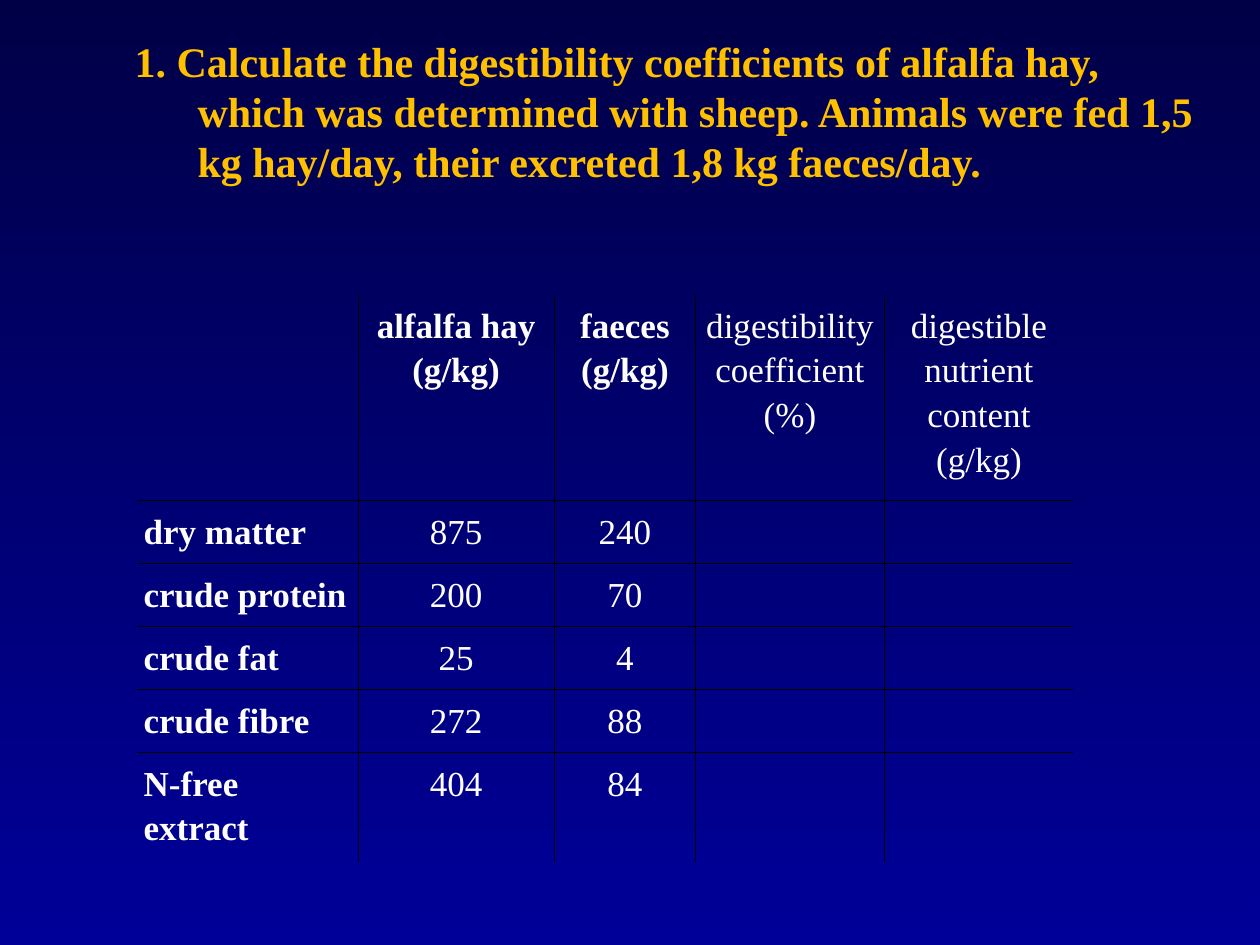
import lxml.etree
import pptx
import pptx.dml.color
import pptx.enum.text
import pptx.oxml.ns
import pptx.util

Inches = pptx.util.Inches
Pt = pptx.util.Pt
RGB = pptx.dml.color.RGBColor.from_string
CENTER = pptx.enum.text.PP_ALIGN.CENTER
qn = pptx.oxml.ns.qn

THEME = {
    "font": "Times New Roman",
    "top": "000047",
    "bottom": "000099",
    "question": "FFC000",
    "text": "FFFFFF",
    "grid": "000000",
    "question_size": 24,
    "table_size": 20,
    "grid_width": 0.45,
}


def style(p, size, color, bold):
    for r in p.runs:
        r.font.name = THEME["font"]
        r.font.size = Pt(THEME[size])
        r.font.color.rgb = RGB(THEME[color])
        r.font.bold = bold


def add_border(tc_pr, tag, visible):
    ln = lxml.etree.SubElement(tc_pr, qn(tag), w=str(int(Pt(THEME["grid_width"]))))
    if visible:
        fill = lxml.etree.SubElement(ln, qn("a:solidFill"))
        lxml.etree.SubElement(fill, qn("a:srgbClr"), val=THEME["grid"])
    else:
        lxml.etree.SubElement(ln, qn("a:noFill"))


prs = pptx.Presentation()
prs.slide_width, prs.slide_height = Inches(10), Inches(7.5)
s = prs.slides.add_slide(prs.slide_layouts[6])

bg = s.background.fill
bg.gradient()
bg.gradient_angle = 270
for stop, position, color in zip(bg.gradient_stops, (0, 1), ("top", "bottom")):
    stop.position = position
    stop.color.rgb = RGB(THEME[color])

question = s.shapes.add_textbox(Inches(0.47), Inches(0.23), Inches(9.14), Inches(1.3))
tf = question.text_frame
tf.word_wrap = True
tf.auto_size = pptx.enum.text.MSO_AUTO_SIZE.SHAPE_TO_FIT_TEXT
p = tf.paragraphs[0]
p.text = (
    "1. Calculate the digestibility coefficients of alfalfa hay, which was determined "
    "with sheep. Animals were fed 1,5 kg hay/day, their excreted 1,8 kg faeces/day."
)
p_pr = p._p.get_or_add_pPr()
p_pr.set("marL", str(Inches(1)))
p_pr.set("indent", str(Inches(-0.5)))
style(p, "question_size", "question", True)

rows = [
    ["", "alfalfa hay (g/kg)", "faeces (g/kg)", "digestibility coefficient (%)",
     "digestible nutrient content (g/kg)"],
    ["dry matter", "875", "240", "", ""],
    ["crude protein", "200", "70", "", ""],
    ["crude fat", "25", "4", "", ""],
    ["crude fibre", "272", "88", "", ""],
    ["N-free extract", "404", "84", "", ""],
]
widths = [1.75, 1.56, 1.12, 1.5, 1.5]
heights = [1.63, 0.5, 0.5, 0.5, 0.5, 0.87]
last_row, last_col = len(rows) - 1, len(widths) - 1

table = s.shapes.add_table(
    len(rows), len(widths), Inches(1.09), Inches(2.34),
    Inches(sum(widths)), Inches(sum(heights)),
).table
table.first_row = table.horz_banding = False
for column, width in zip(table.columns, widths):
    column.width = Inches(width)

for i, values in enumerate(rows):
    table.rows[i].height = Inches(heights[i])
    for j, value in enumerate(values):
        cell = table.cell(i, j)
        cell.margin_left = cell.margin_right = Inches(0.05)
        cell.margin_top = cell.margin_bottom = Inches(0.05)
        tc_pr = cell._tc.get_or_add_tcPr()
        add_border(tc_pr, "a:lnL", j > 0)
        add_border(tc_pr, "a:lnR", j < last_col)
        add_border(tc_pr, "a:lnT", i > 0)
        add_border(tc_pr, "a:lnB", i < last_row)
        cell.fill.background()
        if value:
            p = cell.text_frame.paragraphs[0]
            p.text = value
            p.line_spacing = 1.15
            if j > 0:
                p.alignment = CENTER
            style(p, "table_size", "text", j == 0 or (i == 0 and j < 3))

prs.save("out.pptx")
